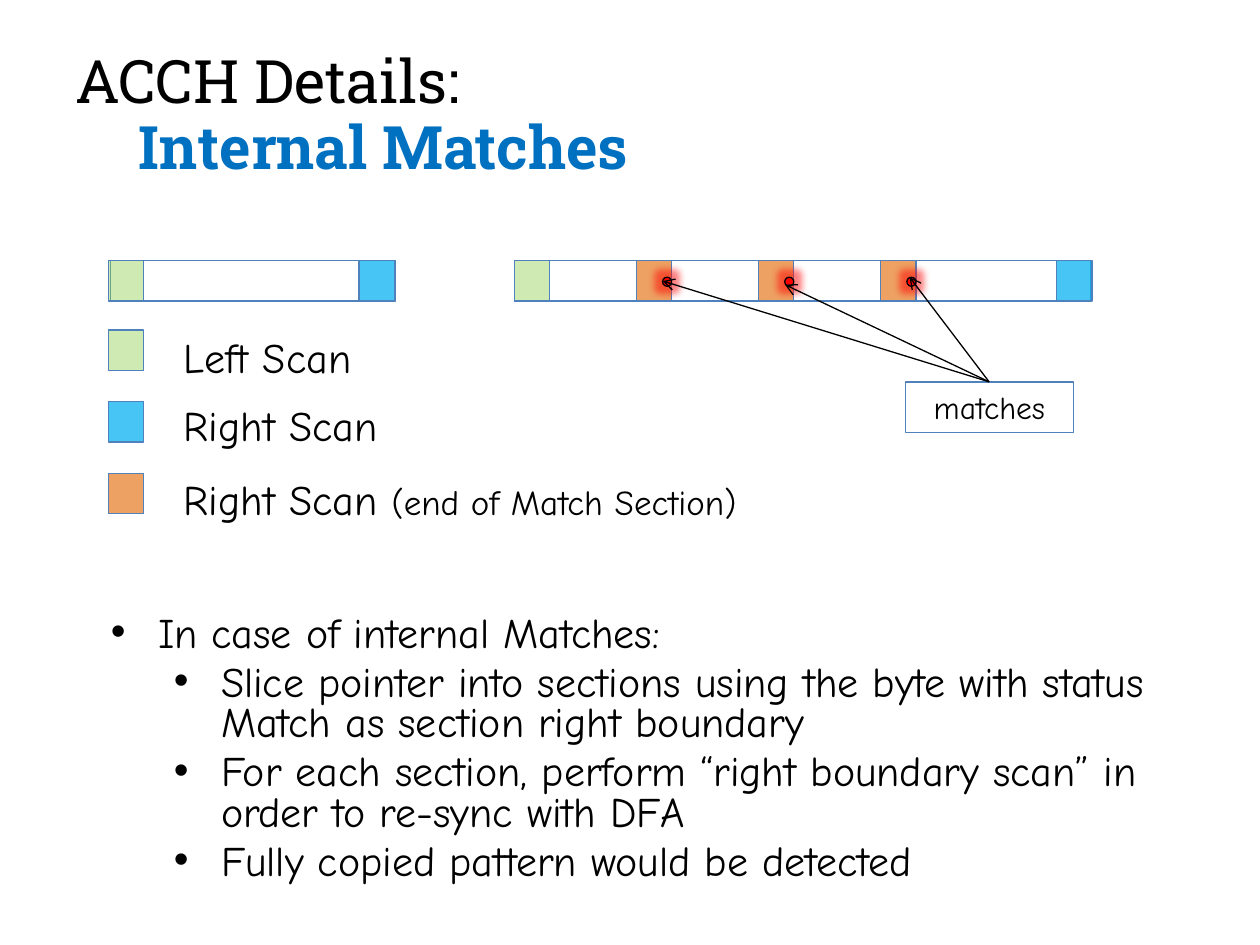
from dataclasses import dataclass
from typing import Any, Optional

from lxml.etree import SubElement
from pptx import Presentation
from pptx.dml.color import RGBColor
from pptx.enum.shapes import MSO_CONNECTOR, MSO_SHAPE
from pptx.enum.text import MSO_ANCHOR, PP_ALIGN
from pptx.oxml.ns import qn
from pptx.util import Pt

BODY_FONT = "Comic Neue"
TITLE_FONT = "Roboto Slab"
BLACK, OUTLINE, RED, TITLE_BLUE = "000000", "4F81BD", "FF0000", "0070C0"
BAR_TOP, CELL_WIDTH, BAR_HEIGHT = 149, 20.2, 23
DOT_SIZE, DOT_TOP = 5.2, 158.4
LEGEND_LEFT, LEGEND_TOP, LEGEND_STEP = 62, 188.6, 41


@dataclass(frozen=True)
class Box:
    left: float
    top: float
    width: float
    height: float

    def lengths(self) -> tuple:
        return Pt(self.left), Pt(self.top), Pt(self.width), Pt(self.height)


@dataclass(frozen=True)
class Paint:
    color: str
    opacity: int = 100


@dataclass(frozen=True)
class Words:
    text: str
    size: float = 24
    color: str = BLACK
    font: str = BODY_FONT
    bold: bool = False


@dataclass(frozen=True)
class LegendEntry:
    paint: Paint
    label_top: float
    label_width: float
    words: tuple[Words, ...]


LEFT_SCAN = Paint("92D050", 43)
RIGHT_SCAN = Paint("00B0F0", 72)
SECTION_SCAN = Paint("E46C0A", 64)

LEGEND = (
    LegendEntry(LEFT_SCAN, 185.8, 152, (Words("Left Scan"),)),
    LegendEntry(RIGHT_SCAN, 224.6, 152, (Words("Right Scan"),)),
    LegendEntry(SECTION_SCAN, 267.1, 386,
                (Words("Right Scan "), Words("(end of Match Section)", 20))),
)
SECTION_EDGES = (293.8, 383.8, 453.6, 523.4, 623.5)
ARROW_START = (565.2, 218.2)
ARROW_TIPS = ((378.7, 160.6), (448.6, 162.7), (519.8, 158.4))
BULLETS = (
    (0, "In case of internal Matches:"),
    (1, "Slice pointer into sections using the byte with status "
        "Match as section right boundary"),
    (1, "For each section, perform “right boundary scan” in order to re-sync with DFA"),
    (1, "Fully copied pattern would be detected"),
)


def rgb(color: str) -> RGBColor:
    return RGBColor.from_string(color)


def set_values(target: Any, values: dict[str, Any]) -> None:
    for name, value in values.items():
        setattr(target, name, value)


def set_opacity(color_element: Any, percent: int) -> None:
    SubElement(color_element, qn("a:alpha"), val=str(percent * 1000))


def add_words(paragraph: Any, words: Words) -> None:
    run = paragraph.add_run()
    run.text = words.text
    set_values(run.font, {"name": words.font, "size": Pt(words.size), "bold": words.bold})
    run.font.color.rgb = rgb(words.color)


def add_text_box(slide: Any, box: Box, anchor: Any = MSO_ANCHOR.TOP) -> Any:
    frame = slide.shapes.add_textbox(*box.lengths()).text_frame
    set_values(frame, {"word_wrap": True, "vertical_anchor": anchor})
    return frame


def add_block(slide: Any, box: Box, paint: Optional[Paint] = None,
              line: str = OUTLINE, kind: Any = MSO_SHAPE.RECTANGLE) -> Any:
    shape = slide.shapes.add_shape(kind, *box.lengths())
    shape.shadow.inherit = False
    shape.line.color.rgb = rgb(line)
    shape.line.width = Pt(0.75)
    if paint is None:
        shape.fill.background()
    else:
        shape.fill.solid()
        shape.fill.fore_color.rgb = rgb(paint.color)
        if paint.opacity < 100:
            set_opacity(shape.fill._xPr.find(".//" + qn("a:srgbClr")), paint.opacity)
    return shape


def add_scan_cell(slide: Any, left: float, paint: Paint, top: float = BAR_TOP) -> None:
    add_block(slide, Box(left, top, CELL_WIDTH, BAR_HEIGHT), paint)


def add_match_dot(slide: Any, section_edge: float) -> None:
    box = Box(section_edge - DOT_SIZE, DOT_TOP, DOT_SIZE, DOT_SIZE)
    dot = add_block(slide, box, Paint(RED), BLACK, MSO_SHAPE.FLOWCHART_CONNECTOR)
    effects = dot._element.spPr.find(qn("a:effectLst"))
    glow = SubElement(effects, qn("a:glow"), rad=str(Pt(8)))
    set_opacity(SubElement(glow, qn("a:srgbClr"), val=RED), 50)


def add_arrow(slide: Any, start: tuple, tip: tuple) -> None:
    ends = [Pt(value) for value in (*start, *tip)]
    arrow = slide.shapes.add_connector(MSO_CONNECTOR.STRAIGHT, *ends)
    arrow.line.color.rgb = rgb(BLACK)
    arrow.line.width = Pt(0.75)
    SubElement(arrow.line._get_or_add_ln(), qn("a:tailEnd"), type="arrow")
    SubElement(arrow._element.spPr, qn("a:effectLst"))


def add_title(slide: Any) -> None:
    frame = add_text_box(slide, Box(36, 21.6, 669.6, 90), MSO_ANCHOR.MIDDLE)
    paragraph = frame.paragraphs[0]
    paragraph.line_spacing = 0.92
    add_words(paragraph, Words("ACCH Details: ", 34.2, BLACK, TITLE_FONT))
    paragraph.add_line_break()
    add_words(paragraph, Words("\tInternal Matches", 34.2, TITLE_BLUE, TITLE_FONT, True))


def add_scan_bars(slide: Any) -> None:
    add_block(slide, Box(63, BAR_TOP, 163, BAR_HEIGHT))
    add_scan_cell(slide, LEGEND_LEFT, LEFT_SCAN)
    add_scan_cell(slide, 205.2, RIGHT_SCAN)

    first, *match_edges, last = SECTION_EDGES
    add_block(slide, Box(first, BAR_TOP, last - first, BAR_HEIGHT))
    for edge in match_edges:
        add_scan_cell(slide, edge - CELL_WIDTH, SECTION_SCAN)
    for left, right in zip(SECTION_EDGES, SECTION_EDGES[1:]):
        add_block(slide, Box(left, BAR_TOP, right - left, BAR_HEIGHT))
    add_scan_cell(slide, first, LEFT_SCAN)
    add_scan_cell(slide, last - CELL_WIDTH + 0.5, RIGHT_SCAN)
    for edge in match_edges:
        add_match_dot(slide, edge)


def add_legend(slide: Any) -> None:
    for index, entry in enumerate(LEGEND):
        add_scan_cell(slide, LEGEND_LEFT, entry.paint, LEGEND_TOP + index * LEGEND_STEP)
        frame = add_text_box(slide, Box(98, entry.label_top, entry.label_width, 36.4))
        for words in entry.words:
            add_words(frame.paragraphs[0], words)


def add_matches_callout(slide: Any) -> None:
    callout = add_block(slide, Box(517.5, ARROW_START[1], 95.8, 29))
    set_values(callout.text_frame, {"word_wrap": True, "vertical_anchor": MSO_ANCHOR.MIDDLE})
    paragraph = callout.text_frame.paragraphs[0]
    paragraph.alignment = PP_ALIGN.CENTER
    add_words(paragraph, Words("matches", 18))
    for tip in ARROW_TIPS:
        add_arrow(slide, ARROW_START, tip)


def add_bullets(slide: Any) -> None:
    frame = add_text_box(slide, Box(56.2, 348.5, 606.2, 164))
    for index, (level, text) in enumerate(BULLETS):
        paragraph = frame.add_paragraph() if index else frame.paragraphs[0]
        set_values(paragraph, {"level": level, "line_spacing": 0.8,
                               "space_before": Pt(5 if index else 0)})
        properties = paragraph._p.get_or_add_pPr()
        properties.set("marL", str(Pt(27 + 36 * level)))
        properties.set("indent", str(-Pt(27)))
        SubElement(properties, qn("a:buFont"), typeface="Arial")
        SubElement(properties, qn("a:buChar"), char="•")
        add_words(paragraph, Words(text))


def main() -> None:
    presentation = Presentation()
    set_values(presentation, {"slide_width": Pt(720), "slide_height": Pt(540)})
    slide = presentation.slides.add_slide(presentation.slide_layouts[6])
    for add_part in (add_title, add_scan_bars, add_legend, add_bullets, add_matches_callout):
        add_part(slide)
    presentation.save("out.pptx")


if __name__ == "__main__":
    main()
